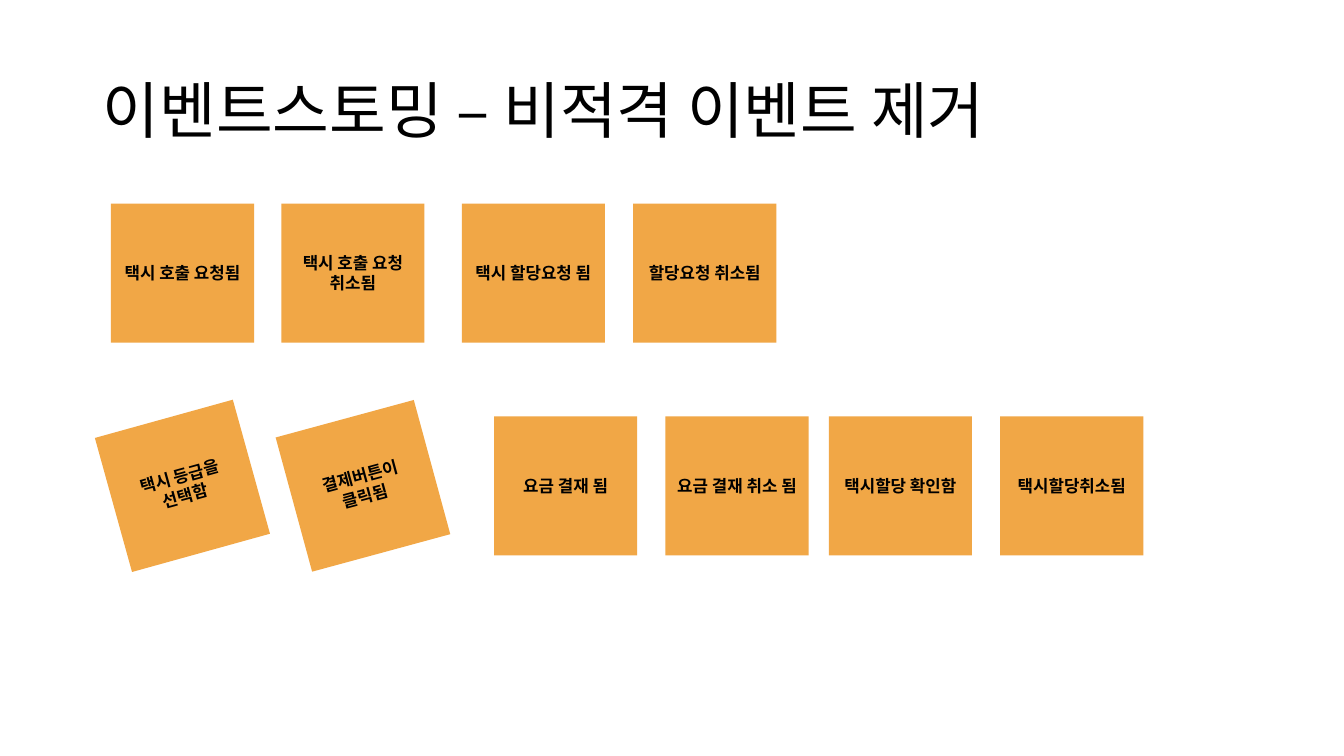
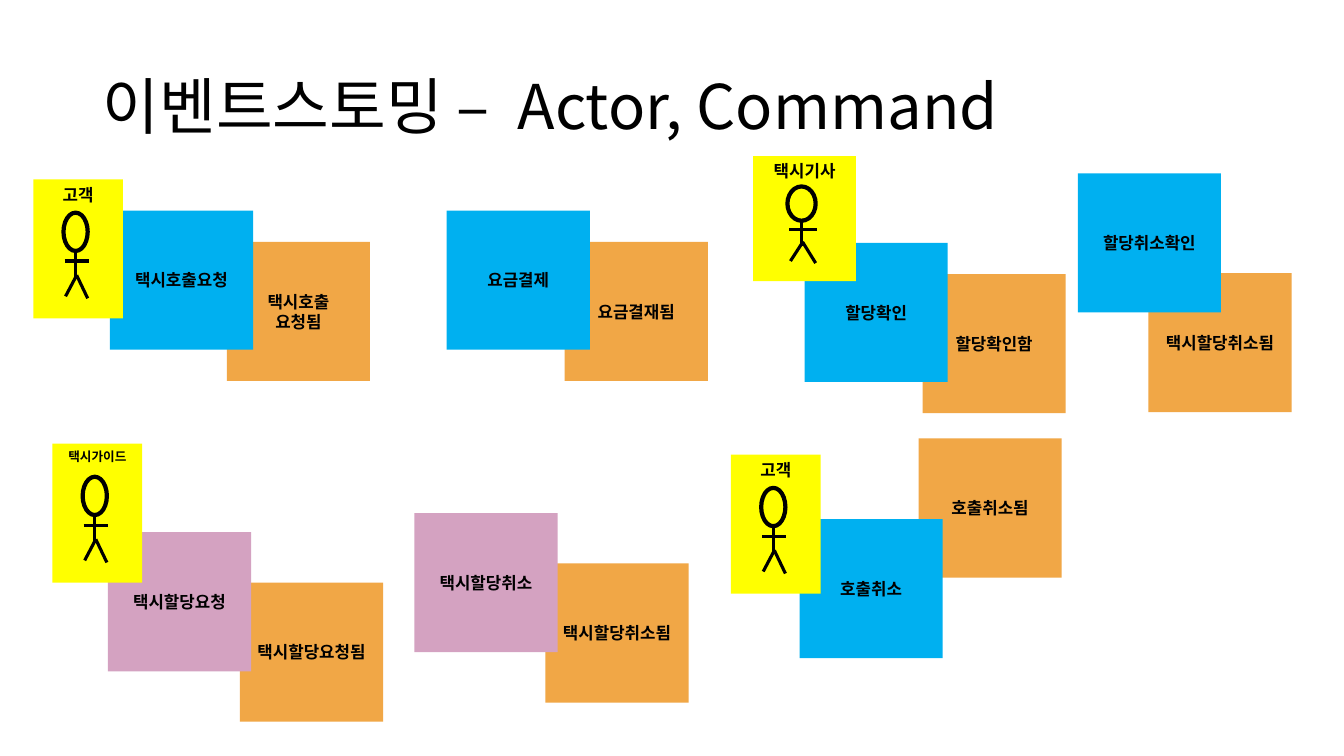
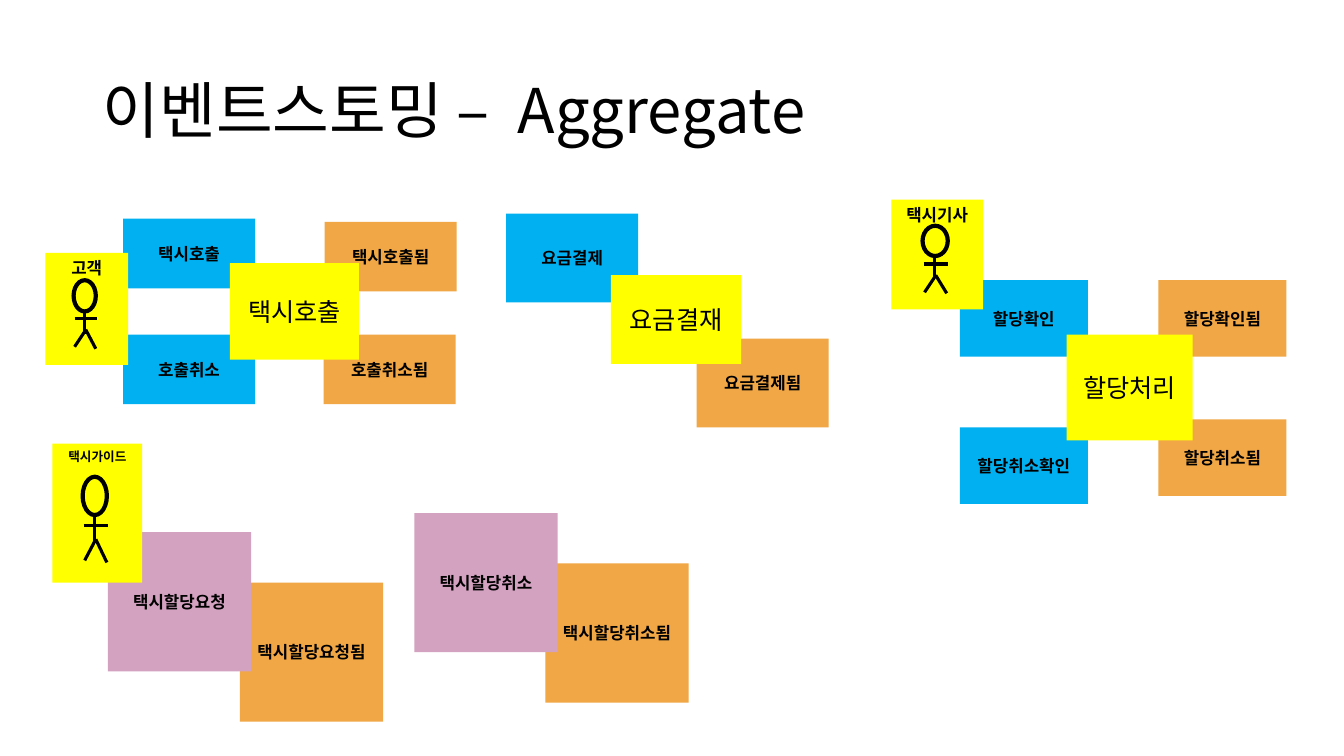
from lxml import etree
from pptx import Presentation
from pptx import util as u
from pptx.dml.color import RGBColor
from pptx.enum import shapes, text
from pptx.oxml.ns import qn

# Shared look: 100 px make one inch
PX = 9144
FONT = "Noto Sans CJK KR"
COLOURS = {
    "event": "F1A746",
    "command": "00B0F0",
    "policy": "D4A2C1",
    "actor": "FFFF00",
    "aggregate": "FFFF00",
    "ink": "000000",
}
TITLE = {"size": u.Pt(44), "bold": False}
LABEL = {"size": u.Pt(12), "bold": True}
SMALL = {"size": u.Pt(9), "bold": True}
HEADING = {"size": u.Pt(18), "bold": False}

# Note sizes
STICKY = (142, 138)
CALL = (131, 69)
PAYMENT = (131, 88)
ASSIGNMENT = (127, 76)

# Stick figure, measured on an actor card of this size
CARD = (89, 138)
HEAD = (30, 33, 24, 38)
LIMBS = [
    (31, 81, 55, 81),
    (42, 71, 42, 99),
    (42, 97, 32, 116),
    (43, 95, 54, 118),
]


def px(*lengths):
    return [u.Emu(length * PX) for length in lengths]


def colour(name):
    return RGBColor.from_string(COLOURS[name])


def add_span(para, words, style):
    span = para.add_run()
    span.text = words
    for name, value in {"name": FONT, **style}.items():
        setattr(span.font, name, value)
    span.font.color.rgb = colour("ink")
    props = span._r.get_or_add_rPr()
    etree.SubElement(props, qn("a:ea")).set("typeface", FONT)
    return props


def add_title(page, topic, top=40, gap=0):
    """Title line; gap widens the space before the topic, in points."""
    box = page.shapes.add_textbox(*px(92, top, 1150, 145))
    frame = box.text_frame
    frame.word_wrap = True
    frame.vertical_anchor = text.MSO_ANCHOR.MIDDLE
    para = frame.paragraphs[0]
    para.line_spacing = 0.9
    add_span(para, "이벤트스토밍 –", TITLE)
    space = add_span(para, " ", TITLE)
    if gap:
        space.set("spc", str(gap * 100))
    add_span(para, topic, TITLE)


def add_note(parent, kind, words, left, top, size=STICKY, turn=0,
             style=LABEL, anchor=text.MSO_ANCHOR.MIDDLE):
    box = parent.shapes.add_shape(shapes.MSO_SHAPE.RECTANGLE,
                                  *px(left, top, *size))
    box.shadow.inherit = False
    box.rotation = turn
    box.fill.solid()
    box.fill.fore_color.rgb = colour(kind)
    box.line.fill.background()
    frame = box.text_frame
    frame.word_wrap = True
    frame.vertical_anchor = anchor
    for index, line in enumerate(words.split("\n")):
        para = frame.add_paragraph() if index else frame.paragraphs[0]
        para.alignment = text.PP_ALIGN.CENTER
        add_span(para, line, style)


def add_notes(page, kind, notes, **options):
    for note in notes:
        add_note(page, kind, *note, **options)


def add_limb(group, ends):
    limb = group.shapes.add_connector(shapes.MSO_CONNECTOR.STRAIGHT, *px(*ends))
    limb.line.color.rgb = colour("ink")
    limb.line.width = u.Pt(2.25)
    etree.SubElement(limb._element.spPr, qn("a:effectLst"))


def add_actor(page, role, left, top, size=CARD, style=LABEL):
    """Actor card with a stick figure scaled to the card."""
    def fit(x, y):
        return (round(x * size[0] / CARD[0]), round(y * size[1] / CARD[1]))

    def place(x, y):
        across, down = fit(x, y)
        return (left + across, top + down)

    group = page.shapes.add_group_shape()
    add_note(group, "actor", role, left, top, size, style=style,
             anchor=text.MSO_ANCHOR.TOP)
    head = group.shapes.add_shape(shapes.MSO_SHAPE.OVAL,
                                  *px(*place(*HEAD[:2]), *fit(*HEAD[2:])))
    head.shadow.inherit = False
    head.fill.background()
    head.line.color.rgb = colour("ink")
    head.line.width = u.Pt(3)
    for limb in LIMBS:
        add_limb(group, place(*limb[:2]) + place(*limb[2:]))


def add_guide_policies(page):
    """Taxi guide with its two policies, shared by two slides."""
    add_notes(page, "event", [("택시할당요청됨", 238, 578),
                              ("택시할당취소됨", 541, 559)])
    add_notes(page, "policy", [("택시할당요청", 107, 528),
                               ("택시할당취소", 411, 509)])
    add_actor(page, "택시가이드", 52, 440, style=SMALL)


def build_events(page):
    add_title(page, "비적격 이벤트 제거")
    # Rejected events are tilted
    add_note(page, "event", "택시 등급을 선택함", 110, 413, turn=344.5)
    add_note(page, "event", "결제버튼이 클릭됨", 289, 413, turn=344.8)
    # Kept events
    add_notes(page, "event", [
        ("택시 호출 요청됨", 110, 202),
        ("택시 호출 요청 취소됨", 279, 202),
        ("택시 할당요청 됨", 458, 202),
        ("할당요청 취소됨", 628, 202),
        ("요금 결재 됨", 490, 413),
        ("요금 결재 취소 됨", 660, 413),
        ("택시할당 확인함", 822, 413),
        ("택시할당취소됨", 992, 413),
    ])


def build_commands(page):
    add_title(page, "Actor, Command", top=36, gap=10)
    add_notes(page, "event", [
        ("택시호출\n요청됨", 225, 240),
        ("요금결재됨", 560, 240),
        ("할당확인함", 915, 272),
        ("택시할당취소됨", 1139, 271),
        ("호출취소됨", 911, 435),
    ])
    add_notes(page, "command", [
        ("택시호출요청", 109, 209),
        ("요금결제", 443, 209),
        ("할당확인", 798, 241),
        ("호출취소", 793, 515),
        ("할당취소확인", 1069, 172),
    ])
    add_actor(page, "고객", 33, 178)
    add_actor(page, "택시기사", 747, 155, (102, 124))
    add_actor(page, "고객", 725, 451)
    add_guide_policies(page)


def build_aggregates(page):
    add_title(page, "Aggregate", gap=10)
    add_notes(page, "event", [
        ("택시호출됨", 322, 220, CALL),
        ("호출취소됨", 321, 332, CALL),
        ("요금결제됨", 691, 336, PAYMENT),
        ("할당확인됨", 1149, 278, ASSIGNMENT),
        ("할당취소됨", 1149, 416, ASSIGNMENT),
    ])
    add_notes(page, "command", [
        ("택시호출", 122, 217, CALL),
        ("호출취소", 122, 332, CALL),
        ("요금결제", 502, 212, PAYMENT),
        ("할당확인", 952, 278, ASSIGNMENT),
        ("할당취소확인", 952, 424, ASSIGNMENT),
    ])
    add_actor(page, "고객", 45, 251, (82, 111))
    add_actor(page, "택시기사", 884, 198, (91, 109))
    add_notes(page, "aggregate", [
        ("택시호출", 228, 261, (128, 96)),
        ("요금결재", 606, 273, (129, 88)),
        ("할당처리", 1058, 332, (125, 105)),
    ], style=HEADING)
    add_guide_policies(page)


def main():
    deck = Presentation()
    deck.slide_width, deck.slide_height = px(1333, 750)
    blank = deck.slide_layouts[6]
    for build in (build_events, build_commands, build_aggregates):
        build(deck.slides.add_slide(blank))
    deck.save("out.pptx")


if __name__ == "__main__":
    main()
